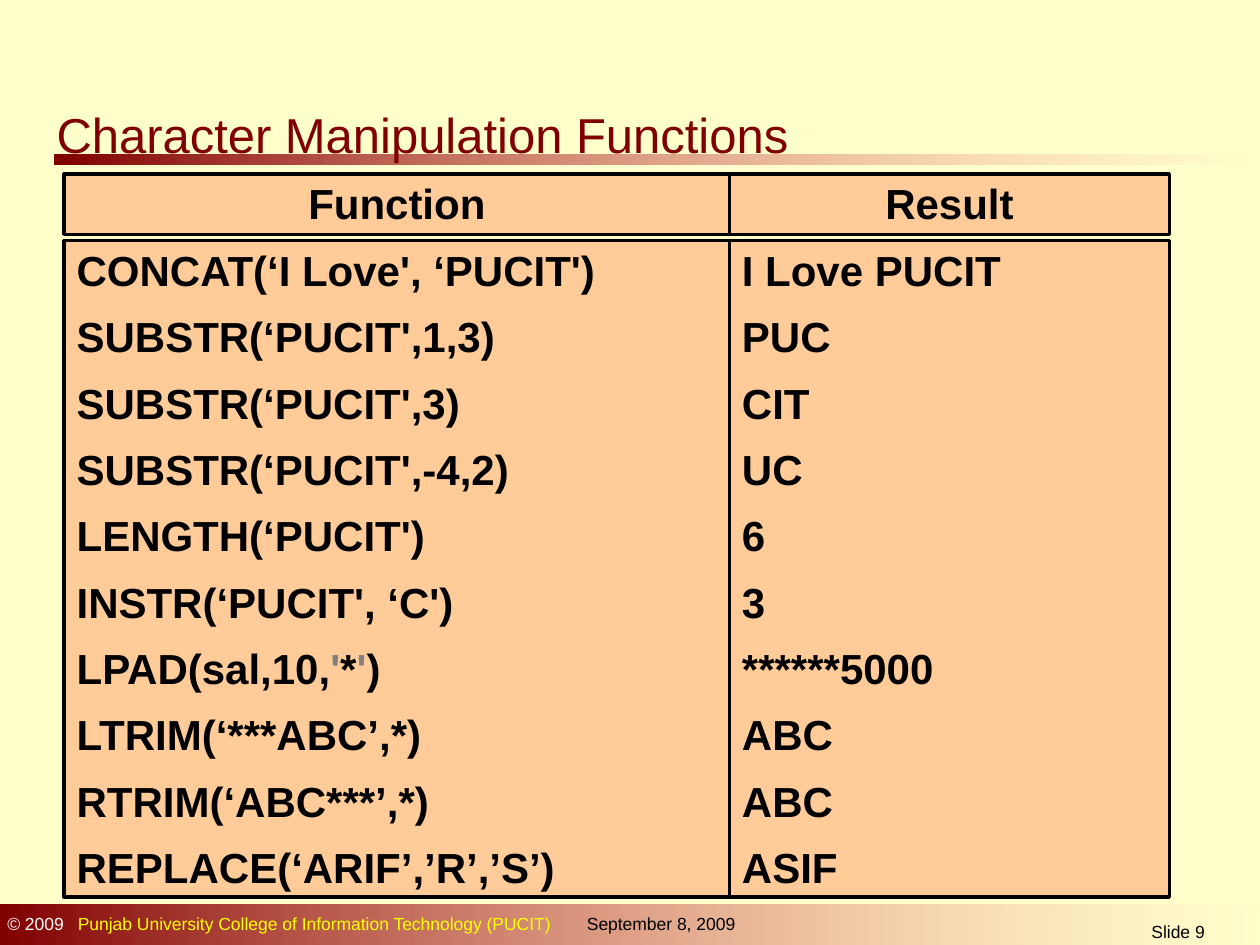
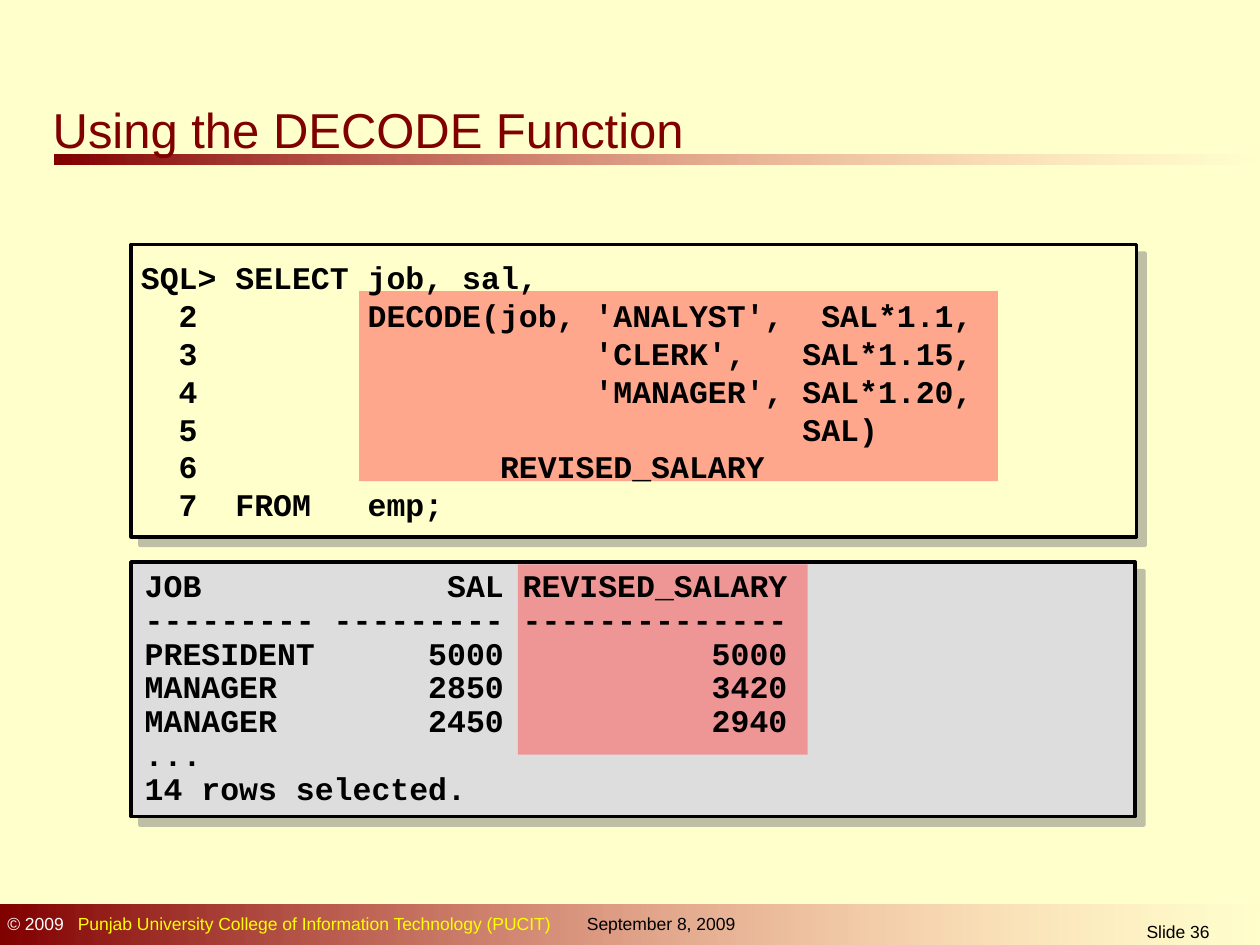
"""Build two slides on SQL character functions and DECODE."""
from dataclasses import dataclass
from typing import Optional, Sequence, Union

from lxml import etree
from pptx import Presentation
from pptx.dml.color import RGBColor
from pptx.enum.shapes import MSO_SHAPE
from pptx.enum.text import MSO_ANCHOR, PP_ALIGN
from pptx.oxml.ns import qn
from pptx.util import Emu, Inches, Pt

RECTANGLE = MSO_SHAPE.RECTANGLE
TOP = MSO_ANCHOR.TOP
LEFT, CENTER = PP_ALIGN.LEFT, PP_ALIGN.CENTER

CREAM = RGBColor(0xFF, 0xFF, 0xCC)
MAROON = RGBColor(0x80, 0x00, 0x00)
PINK = RGBColor(0xFF, 0x85, 0x85)
PEACH = RGBColor(0xFF, 0xCC, 0x99)
RED = RGBColor(0xFF, 0x50, 0x50)
SILVER = RGBColor(0xDD, 0xDD, 0xDD)
GRAY = RGBColor(0x80, 0x80, 0x80)
YELLOW = RGBColor(0xFF, 0xFF, 0x00)
WHITE = RGBColor(0xFF, 0xFF, 0xFF)
BLACK = RGBColor(0x00, 0x00, 0x00)

SANS, MONO = "Arial", "Courier New"
SLIDE_WIDTH, SLIDE_HEIGHT = Inches(10), Inches(7.5)
COLUMN, ROW = SLIDE_WIDTH / 100, SLIDE_HEIGHT / 75
SIDE_INSET = 0.1
LINE_RATIO = 1.2


@dataclass(frozen=True)
class Box:
    """Place on a grid of 100 columns and 75 rows."""
    column: float
    row: float
    columns: float
    rows: float

    def emu(self) -> tuple:
        return (Emu(round(self.column * COLUMN)), Emu(round(self.row * ROW)),
                Emu(round(self.columns * COLUMN)), Emu(round(self.rows * ROW)))


@dataclass(frozen=True)
class Run:
    """Piece of text with its own colour."""
    text: str
    color: RGBColor = BLACK


@dataclass(frozen=True)
class TableColumn:
    """Heading and entries of one framed column."""
    heading: str
    entries: Sequence
    column: float
    columns: float


@dataclass(frozen=True)
class Listing:
    """Shadowed panel with a highlight and monospaced lines."""
    panel: Box
    fill: RGBColor
    highlight: Box
    text: Box
    lines: Sequence[str]
    spacing: float
    top_inset: float


Paragraph = Union[str, Sequence[Run]]

RULE_BOX = Box(4.3, 12.3, 95.7, 0.8)
FOOTER_BOX = Box(0, 71.8, 100.3, 3.5)
COPYRIGHT_BOX = Box(-0.4, 72, 64.6, 2.7)
DATE_BOX = Box(45.6, 72, 15.4, 2.7)
NUMBER_BOX = Box(83.1, 72.6, 20.8, 2.4)

COPYRIGHT = (Run("© 2009", WHITE),
             Run("\tPunjab University College of Information Technology (PUCIT)", YELLOW))
INSTITUTE_TAB = 0.56

HEADING_ROW, HEADING_ROWS = 13.8, 4.8
ENTRY_ROW, ENTRY_ROWS = 19.1, 52.1
TABLE_COLUMNS = (
    TableColumn("Function", (
        "CONCAT(‘I Love', ‘PUCIT')",
        "SUBSTR(‘PUCIT',1,3)",
        "SUBSTR(‘PUCIT',3)",
        "SUBSTR(‘PUCIT',-4,2)",
        "LENGTH(‘PUCIT')",
        "INSTR(‘PUCIT', ‘C')",
        (Run("LPAD(sal,10,"), Run("'", GRAY), Run("*"), Run("'", GRAY), Run(")")),
        "LTRIM(‘***ABC’,*)",
        "RTRIM(‘ABC***’,*)",
        "REPLACE(‘ARIF’,’R’,’S’)",
    ), 5.1, 52.8),
    TableColumn("Result", (
        "I Love PUCIT", "PUC", "CIT", "UC", "6", "3",
        "******5000", "ABC", "ABC", "ASIF",
    ), 57.9, 34.9),
)

LISTINGS = (
    Listing(Box(10.4, 19.4, 79.8, 23.2), CREAM, Box(28.5, 23.1, 50.7, 15.1),
            Box(10.2, 19, 80, 23.5), (
        "SQL> SELECT job, sal,",
        "  2         DECODE(job, 'ANALYST',  SAL*1.1,",
        "  3                     'CLERK',   SAL*1.15,",
        "  4                     'MANAGER', SAL*1.20,",
        "  5                                SAL)",
        "  6                REVISED_SALARY",
        "  7  FROM   emp;",
    ), 1, 0.15),
    Listing(Box(10.4, 44.6, 79.7, 20.2), SILVER, Box(41.1, 44.8, 23, 15.1),
            Box(10.5, 44.4, 79.5, 19.9), (
        "JOB             SAL REVISED_SALARY",
        "--------- --------- --------------",
        "PRESIDENT      5000           5000",
        "MANAGER        2850           3420",
        "MANAGER        2450           2940",
        "...",
        "14 rows selected.",
    ), 0.9, 0.08),
)


def write(shape, paragraphs: Sequence[Paragraph], *, size: float, font: str = SANS,
          color: RGBColor = BLACK, bold: bool = False, align=LEFT, spacing: Optional[float] = None,
          before: float = 0, top_inset: float = 0.05, wrap: bool = True,
          tab: Optional[float] = None) -> None:
    """Fill a shape with formatted paragraphs."""
    frame = shape.text_frame
    frame.word_wrap = wrap
    frame.vertical_anchor = TOP
    frame.margin_left = frame.margin_right = Inches(SIDE_INSET)
    frame.margin_top, frame.margin_bottom = Inches(top_inset), Inches(0.05)
    for index, content in enumerate(paragraphs):
        paragraph = frame.paragraphs[0] if index == 0 else frame.add_paragraph()
        paragraph.alignment = align
        if spacing:
            paragraph.line_spacing = Pt(round(size * LINE_RATIO * spacing, 1))
        if index and before:
            paragraph.space_before = Pt(before)
        if tab:
            stops = etree.SubElement(paragraph._p.get_or_add_pPr(), qn("a:tabLst"))
            etree.SubElement(stops, qn("a:tab"), pos=str(Inches(tab)), algn="l")
        pieces = (Run(content, color),) if isinstance(content, str) else content
        for piece in pieces:
            run = paragraph.add_run()
            run.text = piece.text
            run.font.name, run.font.size = font, Pt(size)
            run.font.bold, run.font.color.rgb = bold, piece.color


def add_text(slide, box: Box, paragraphs: Sequence[Paragraph], **text_format) -> None:
    """Add a text box."""
    write(slide.shapes.add_textbox(*box.emu()), paragraphs, **text_format)


def add_rectangle(slide, box: Box, fill: Optional[RGBColor] = None, framed: bool = False):
    """Add a flat rectangle, with a black frame if asked."""
    shape = slide.shapes.add_shape(RECTANGLE, *box.emu())
    shape.shadow.inherit = False
    if fill is not None:
        shape.fill.solid()
        shape.fill.fore_color.rgb = fill
    if framed:
        shape.line.color.rgb = BLACK
        shape.line.width = Pt(2)
    else:
        shape.line.fill.background()
    return shape


def set_opacity(shape, percent: int) -> None:
    """Set the opacity of the first fill colour."""
    color = next(shape._element.spPr.iter(qn("a:srgbClr")))
    etree.SubElement(color, qn("a:alpha"), val=str(percent * 1000))


def add_fading_band(slide, box: Box) -> None:
    """Add a band fading from maroon at the left to nothing."""
    band = add_rectangle(slide, box)
    band.fill.gradient()
    band.fill.gradient_angle = 180
    for stop, color, position in zip(band.fill.gradient_stops, (PINK, MAROON), (0, 1)):
        stop.color.rgb = color
        stop.position = position
    set_opacity(band, 0)


def add_shadow(shape) -> None:
    """Cast a half-transparent shadow to the lower right."""
    effects = shape._element.spPr.find(qn("a:effectLst"))
    shadow = etree.SubElement(effects, qn("a:outerShdw"), blurRad="0", dist=str(Pt(7.1)),
                              dir=str(45 * 60000), algn="ctr", rotWithShape="0")
    color = etree.SubElement(shadow, qn("a:srgbClr"), val=str(GRAY))
    etree.SubElement(color, qn("a:alpha"), val="50000")


def add_base_slide(presentation, number: int, title: str, title_box: Box):
    """Add a slide with background, bands, footer and title."""
    slide = presentation.slides.add_slide(presentation.slide_layouts[6])
    slide.background.fill.solid()
    slide.background.fill.fore_color.rgb = CREAM
    for box in (RULE_BOX, FOOTER_BOX):
        add_fading_band(slide, box)
    add_text(slide, COPYRIGHT_BOX, [COPYRIGHT], size=10, tab=INSTITUTE_TAB)
    add_text(slide, DATE_BOX, ["September 8, 2009"], size=10)
    add_text(slide, NUMBER_BOX, [f"Slide {number}"], size=10, align=CENTER)
    add_text(slide, title_box, [title], size=28, color=MAROON, spacing=1, top_inset=0.07)
    return slide


def add_table_column(slide, column: TableColumn) -> None:
    """Draw one column as a heading frame and an entry frame."""
    parts = ((ENTRY_ROW, ENTRY_ROWS, column.entries, LEFT),
             (HEADING_ROW, HEADING_ROWS, [column.heading], CENTER))
    for row, rows, paragraphs, align in parts:
        frame = add_rectangle(slide, Box(column.column, row, column.columns, rows), PEACH, True)
        write(frame, paragraphs, size=24, bold=True, align=align, spacing=0.95, before=10.5)


def add_listing(slide, listing: Listing) -> None:
    """Draw a panel, its highlight and its lines."""
    add_shadow(add_rectangle(slide, listing.panel, listing.fill, True))
    set_opacity(add_rectangle(slide, listing.highlight, RED), 50)
    add_text(slide, listing.text, listing.lines, size=18, font=MONO, bold=True, wrap=False,
             spacing=listing.spacing, top_inset=listing.top_inset)


def main() -> None:
    """Build and save the presentation."""
    presentation = Presentation()
    presentation.slide_width, presentation.slide_height = SLIDE_WIDTH, SLIDE_HEIGHT
    functions = add_base_slide(presentation, 9, "Character Manipulation Functions",
                               Box(3.5, 7.6, 60.5, 4.7))
    for column in TABLE_COLUMNS:
        add_table_column(functions, column)
    decode = add_base_slide(presentation, 36, "Using the DECODE Function",
                            Box(3.2, 7.2, 54.7, 5.1))
    for listing in LISTINGS:
        add_listing(decode, listing)
    presentation.save("out.pptx")


if __name__ == "__main__":
    main()
